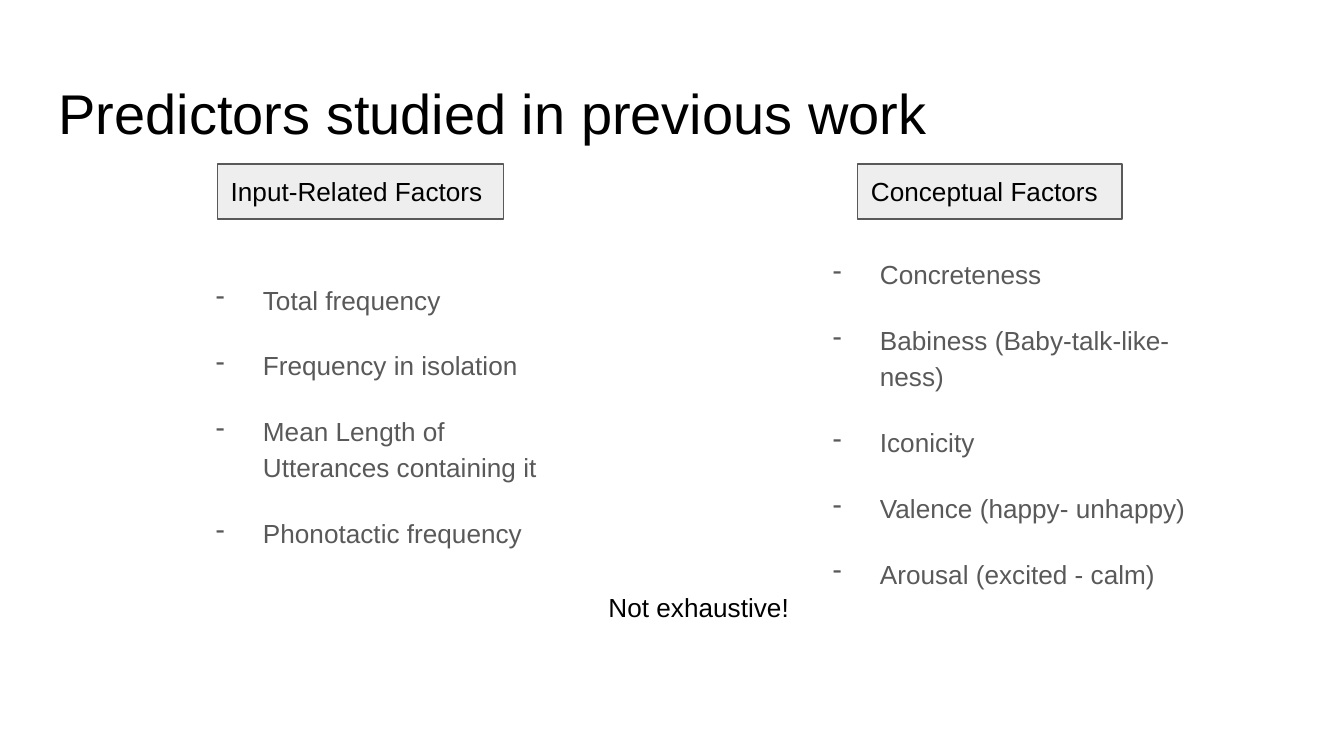
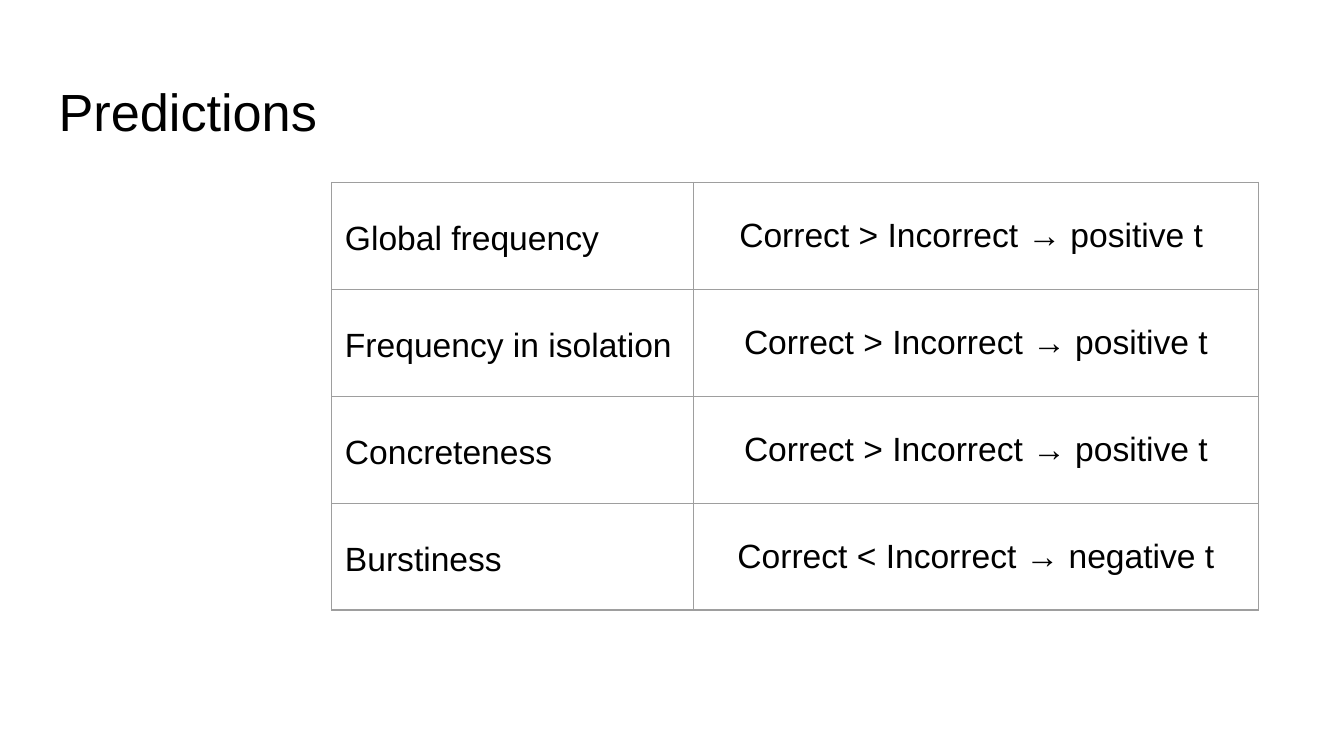
from lxml.etree import SubElement
from pptx import Presentation
from pptx.dml.color import RGBColor
from pptx.enum.shapes import MSO_SHAPE as Shape
from pptx.enum.text import MSO_ANCHOR as Anchor, PP_ALIGN as Align
from pptx.oxml.ns import qn
from pptx.util import Cm, Pt

BLACK = RGBColor(0x00, 0x00, 0x00)
GREY = RGBColor(0x59, 0x59, 0x59)
PALE = RGBColor(0xEE, 0xEE, 0xEE)
RULE = RGBColor(0x9E, 0x9E, 0x9E)
FONT = "Arial"
INSET = Cm(0.25)
MARGINS = {side: INSET for side in ("margin_left", "margin_right", "margin_top", "margin_bottom")}
SPACED = {"line_spacing": 1.15, "space_after": Pt(16)}
CENTRED = {"alignment": Align.CENTER}


def write_text(frame, lines, size, color=BLACK, layout=None, bullet=None):
    for name, value in {**MARGINS, "word_wrap": True}.items():
        setattr(frame, name, value)
    for index, line in enumerate(lines):
        paragraph = frame.add_paragraph() if index else frame.paragraphs[0]
        if bullet:
            properties = paragraph._p.get_or_add_pPr()
            properties.set("marL", str(Cm(1.27)))
            properties.set("indent", str(Cm(-0.89)))
            bullet_color = SubElement(properties, qn("a:buClr"))
            SubElement(bullet_color, qn("a:srgbClr")).set("val", str(color))
            SubElement(properties, qn("a:buChar")).set("char", bullet)
        for name, value in {"alignment": Align.LEFT, **(layout or {})}.items():
            setattr(paragraph, name, value)
        run = paragraph.add_run()
        run.text = line
        run.font.name = FONT
        run.font.size = Pt(size)
        run.font.color.rgb = color


def add_text(slide, box, lines, size, **options):
    text_box = slide.shapes.add_textbox(*map(Cm, box))
    write_text(text_box.text_frame, lines, size, **options)


presentation = Presentation()
presentation.slide_width = Cm(25.4)
presentation.slide_height = Cm(14.29)

titles = [("Predictors studied in previous work", 30, 1.96), ("Predictions", 28, 1.6)]
slides = []
for title, size, height in titles:
    slide = presentation.slides.add_slide(presentation.slide_layouts[6])
    add_text(slide, (0.86, 1.24, 23.67, height), [title], size)
    slides.append(slide)
predictors, predictions = slides

factors = [
    ("Input-Related Factors", 4.11, 5.41, (3.45, 5.03, 7.54, 4.24),
     ["Total frequency", "Frequency in isolation",
      "Mean Length of Utterances containing it", "Phonotactic frequency"]),
    ("Conceptual Factors", 16.21, 5, (15.11, 4.55, 7.82, 4.24),
     ["Concreteness", "Babiness (Baby-talk-like-ness)", "Iconicity",
      "Valence (happy- unhappy)", "Arousal (excited - calm)"]),
]
for heading, left, width, list_box, items in factors:
    label = predictors.shapes.add_shape(Shape.RECTANGLE, Cm(left), Cm(3.1), Cm(width), Cm(1.04))
    label.shadow.inherit = False
    label.fill.solid()
    label.fill.fore_color.rgb = PALE
    label.line.color.rgb = GREY
    label.line.width = Pt(0.75)
    label.text_frame.vertical_anchor = Anchor.MIDDLE
    write_text(label.text_frame, [heading], 14)
    add_text(predictors, list_box, items, 14, color=GREY, layout=SPACED, bullet="-")
add_text(predictors, (11.25, 10.92, 4.17, 1.47), ["Not exhaustive!"], 14)

rows = [
    ("Global frequency", "Correct > Incorrect → positive t "),
    ("Frequency in isolation", "Correct > Incorrect → positive t"),
    ("Concreteness", "Correct > Incorrect → positive t"),
    ("Burstiness", "Correct < Incorrect → negative t"),
]
column_widths = (6.83, 10.69)
row_height = 2.02
frame = predictions.shapes.add_table(
    len(rows), len(column_widths), Cm(6.27), Cm(3.45),
    Cm(sum(column_widths)), Cm(row_height * len(rows)))
table = frame.table
table.first_row = False
table.horz_banding = False
for column, width in zip(table.columns, column_widths):
    column.width = Cm(width)
for row, texts in zip(table.rows, rows):
    row.height = Cm(row_height)
    for cell, text, layout in zip(row.cells, texts, (SPACED, CENTRED)):
        for name, value in {**MARGINS, "vertical_anchor": Anchor.MIDDLE}.items():
            setattr(cell, name, value)
        for side in ("a:lnL", "a:lnR", "a:lnT", "a:lnB"):
            border = SubElement(cell._tc.get_or_add_tcPr(), qn(side), w=str(Pt(0.75)))
            border_fill = SubElement(border, qn("a:solidFill"))
            SubElement(border_fill, qn("a:srgbClr")).set("val", str(RULE))
        cell.fill.background()
        write_text(cell.text_frame, [text], 18, layout=layout)

presentation.save("out.pptx")
